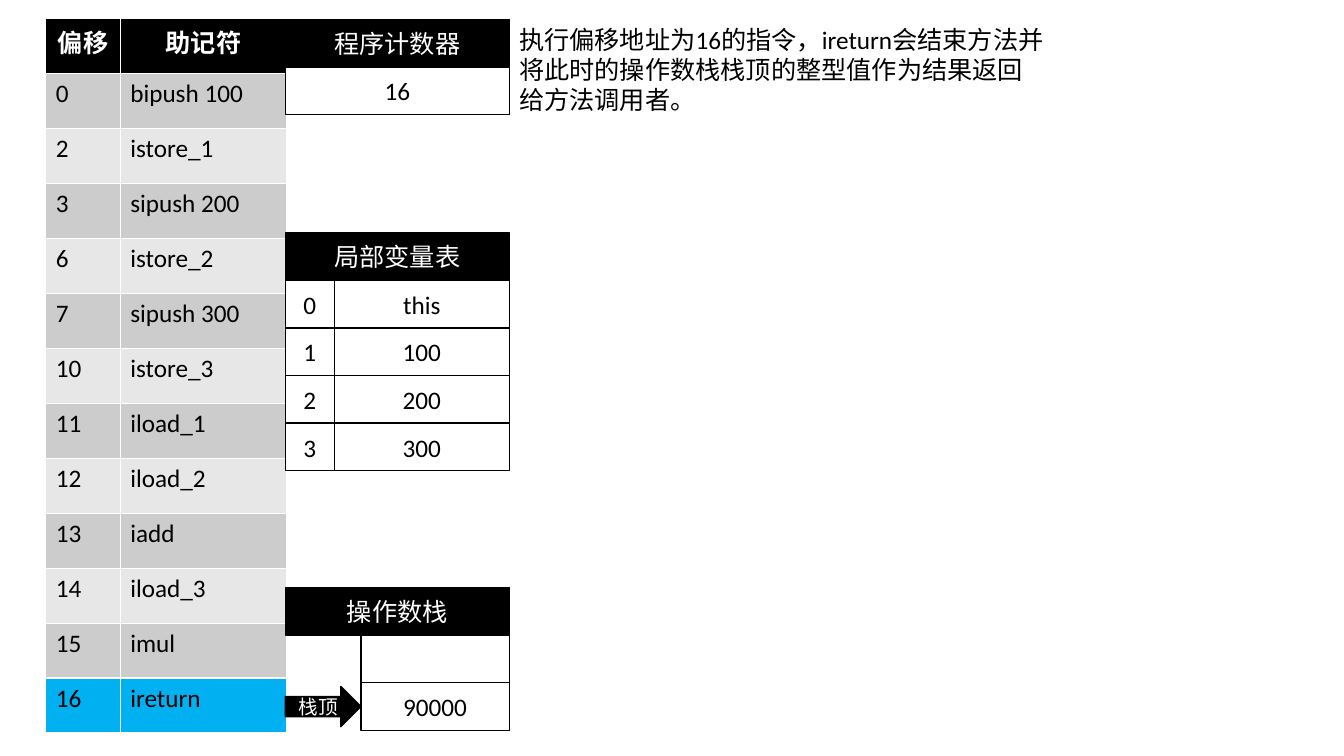
from pptx import Presentation
from pptx.dml.color import RGBColor
from pptx.enum import shapes, text
from pptx.util import Pt

FONT = "Calibri"
BLACK, WHITE = "000000", "FFFFFF"
BANDS = ("CCCCCC", "E7E7E7")
CURRENT = "00B0F0"

INSTRUCTIONS = [
    ("0", "bipush 100"), ("2", "istore_1"), ("3", "sipush 200"),
    ("6", "istore_2"), ("7", "sipush 300"), ("10", "istore_3"),
    ("11", "iload_1"), ("12", "iload_2"), ("13", "iadd"),
    ("14", "iload_3"), ("15", "imul"), ("16", "ireturn"),
]
LOCAL_VARIABLES = ["this", "100", "200", "300"]
OPERAND_STACK = ["", "90000"]
EXPLANATION = ("执行偏移地址为16的指令，ireturn会结束方法"
               "并将此时的操作数栈栈顶的整型值作为结果返回给方法调用者。")

PANEL_LEFT, PANEL_WIDTH, ROW = 203.8, 160, 34
INDEX_WIDTH, ARROW_WIDTH, ARROW_HEIGHT = 35, 54, 28.8


def color(hex_string):
    return RGBColor.from_string(hex_string)


def write(frame, words, hex_color, size=18, align=None, bold=False):
    paragraph = frame.paragraphs[0]
    paragraph.text = words
    paragraph.alignment = align
    font = paragraph.font
    font.name, font.size, font.bold = FONT, Pt(size), bold
    font.color.rgb = color(hex_color)


def add_box(group, left, top, width, height, words, fill=WHITE, size=18,
            kind=shapes.MSO_SHAPE.RECTANGLE):
    shape = group.shapes.add_shape(kind, Pt(left), Pt(top), Pt(width), Pt(height))
    shape.shadow.inherit = False
    shape.fill.solid()
    shape.fill.fore_color.rgb = color(fill)
    shape.line.color.rgb = color(BLACK)
    shape.line.width = Pt(1)
    shape.text_frame.vertical_anchor = text.MSO_ANCHOR.MIDDLE
    if words:
        write(shape.text_frame, words, WHITE if fill == BLACK else BLACK,
              size, text.PP_ALIGN.CENTER)


def add_panel(slide, top, title, values, indent=0):
    """Add a titled column of values, set in by indent, and return its group."""
    group = slide.shapes.add_group_shape()
    add_box(group, PANEL_LEFT, top, PANEL_WIDTH, ROW, title, BLACK)
    for row, value in enumerate(values, 1):
        add_box(group, PANEL_LEFT + indent, top + row * ROW,
                PANEL_WIDTH - indent, ROW, value)
    return group


def add_instruction_table(slide):
    rows = [("偏移", "助记符")] + INSTRUCTIONS
    table = slide.shapes.add_table(len(rows), 2, Pt(32.7), Pt(13.2),
                                   Pt(172), Pt(39.27 * len(rows))).table
    for column, width in zip(table.columns, (53.2, 118.8)):
        column.width = Pt(width)
    for row, values in enumerate(rows):
        header = row == 0
        fill = BLACK if header else BANDS[(row - 1) % 2]
        if row == len(rows) - 1:
            fill = CURRENT
        for column, value in enumerate(values):
            cell = table.cell(row, column)
            cell.fill.solid()
            cell.fill.fore_color.rgb = color(fill)
            write(cell.text_frame, value, WHITE if header else BLACK, bold=header,
                  align=text.PP_ALIGN.CENTER if header else text.PP_ALIGN.LEFT)


def add_explanation(slide):
    box = slide.shapes.add_textbox(Pt(363.8), Pt(13.5), Pt(390), Pt(72.7))
    box.text_frame.word_wrap = True
    box.text_frame.auto_size = text.MSO_AUTO_SIZE.SHAPE_TO_FIT_TEXT
    write(box.text_frame, EXPLANATION, BLACK)


def main():
    presentation = Presentation()
    presentation.slide_width, presentation.slide_height = Pt(960), Pt(540)
    slide = presentation.slides.add_slide(presentation.slide_layouts[6])

    add_instruction_table(slide)

    variables_top = 166.3
    variables = add_panel(slide, variables_top, "局部变量表",
                          LOCAL_VARIABLES, INDEX_WIDTH)
    for index in range(len(LOCAL_VARIABLES)):
        add_box(variables, PANEL_LEFT, variables_top + (index + 1) * ROW,
                INDEX_WIDTH, ROW, str(index))

    add_panel(slide, 13.8, "程序计数器", ["16"])

    stack_top = 419.7
    stack = add_panel(slide, stack_top, "操作数栈", OPERAND_STACK, ARROW_WIDTH)
    arrow_top = stack_top + len(OPERAND_STACK) * ROW + (ROW - ARROW_HEIGHT) / 2
    add_box(stack, PANEL_LEFT, arrow_top, ARROW_WIDTH, ARROW_HEIGHT, "栈顶",
            BLACK, 14, shapes.MSO_SHAPE.RIGHT_ARROW)

    add_explanation(slide)
    presentation.save("out.pptx")


if __name__ == "__main__":
    main()
